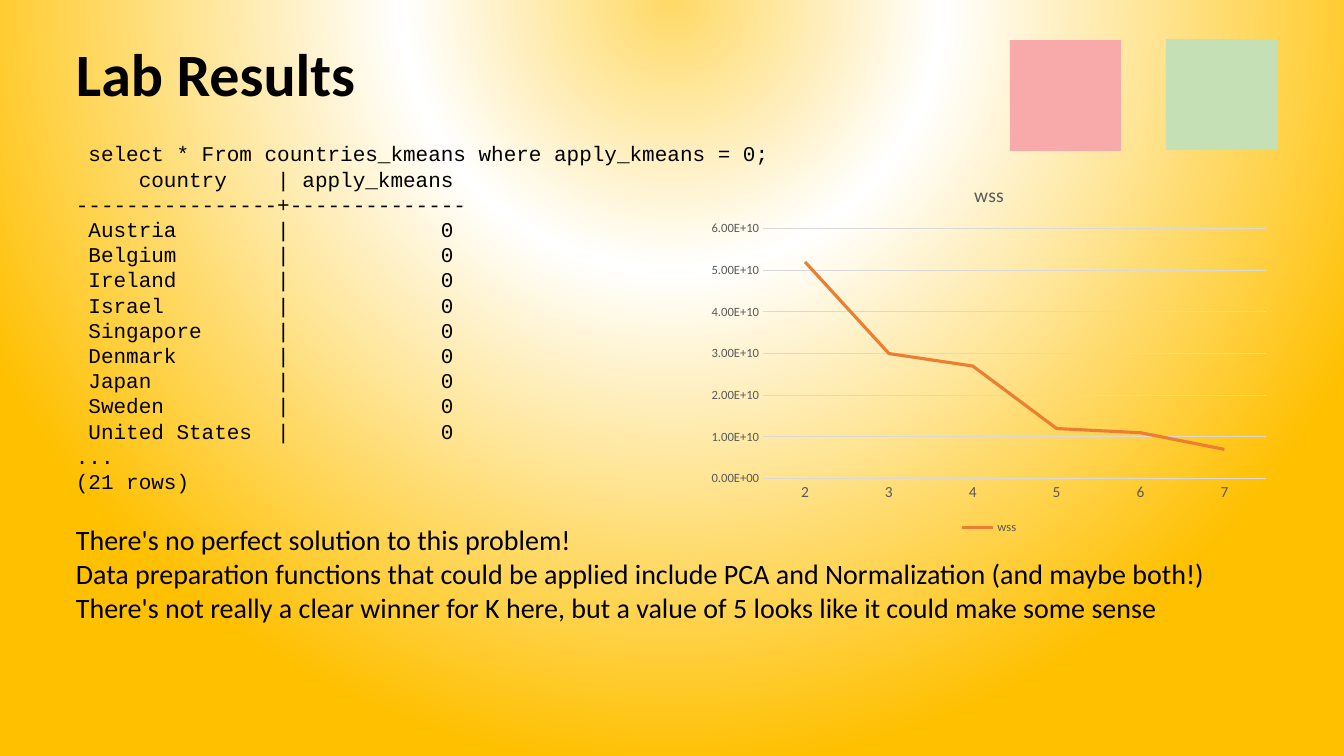
from pptx import Presentation
from pptx.chart.data import CategoryChartData
from pptx.dml.color import RGBColor
from pptx.enum.chart import XL_CHART_TYPE, XL_LEGEND_POSITION, XL_MARKER_STYLE, XL_TICK_MARK
from pptx.enum.shapes import MSO_SHAPE
from pptx.enum.text import MSO_ANCHOR
from pptx.oxml import parse_xml
from pptx.oxml.ns import nsdecls
from pptx.util import Pt

EMU_PER_PX = 914400 / 100.8
COUNTRIES = ["Austria", "Belgium", "Ireland", "Israel", "Singapore",
             "Denmark", "Japan", "Sweden", "United States"]
QUERY_OUTPUT = [
    " select * From countries_kmeans where apply_kmeans = 0;",
    f" {'country':^15}| apply_kmeans",
    "-" * 16 + "+" + "-" * 14,
    *[f" {country:<15}|{0:>13}" for country in COUNTRIES],
    "...",
    "(21 rows)",
]
CONCLUSIONS = [
    "There's no perfect solution to this problem!",
    "Data preparation functions that could be applied include PCA and Normalization (and maybe both!)",
    "There's not really a clear winner for K here, but a value of 5 looks like it could make some sense",
]
WSS_BY_K = {"2": 5.2e10, "3": 3e10, "4": 2.7e10, "5": 1.2e10, "6": 1.1e10, "7": 7e9}


def px(length):
    return round(length * EMU_PER_PX)


def color(value):
    return RGBColor.from_string(value)


class SlideBuilder:
    text_color = "000000"
    chart_text_color = "595959"
    grid_color = "D9D9D9"
    series_color = "ED7D31"
    font_name = "Calibri"
    code_font = "Courier New"

    def __init__(self, presentation):
        self.slide = presentation.slides.add_slide(presentation.slide_layouts[6])

    def background(self, stops):
        """Fill the slide with a circular gradient of (percent, colour) stops."""
        stop_xml = "".join(
            f'<a:gs pos="{percent * 1000}"><a:srgbClr val="{value}"/></a:gs>'
            for percent, value in stops)
        self.slide.element.cSld.insert(0, parse_xml(
            f'<p:bg {nsdecls("p", "a")}><p:bgPr><a:gradFill rotWithShape="1">'
            f'<a:gsLst>{stop_xml}</a:gsLst><a:path path="circle">'
            '<a:fillToRect l="50000" t="-80000" r="50000" b="180000"/></a:path>'
            '</a:gradFill><a:effectLst/></p:bgPr></p:bg>'))

    def style_font(self, font, size, value, name=None, bold=False):
        font.size = Pt(size)
        font.color.rgb = color(value)
        font.name = name or self.font_name
        font.bold = bold

    def text(self, lines, left, top, width, height, size, name=None, bold=False, spacing=1.0):
        box = self.slide.shapes.add_textbox(px(left), px(top), px(width), px(height))
        frame = box.text_frame
        frame.word_wrap = True
        frame.vertical_anchor = MSO_ANCHOR.TOP
        for index, line in enumerate(lines):
            paragraph = frame.add_paragraph() if index else frame.paragraphs[0]
            paragraph.line_spacing = spacing
            run = paragraph.add_run()
            run.text = line
            self.style_font(run.font, size, self.text_color, name, bold)

    def square(self, left, top, side, fill):
        shape = self.slide.shapes.add_shape(
            MSO_SHAPE.RECTANGLE, px(left), px(top), px(side), px(side))
        shape.shadow.inherit = False
        shape.fill.solid()
        shape.fill.fore_color.rgb = color(fill)
        shape.line.fill.background()

    def style_line(self, line, value, width):
        line.color.rgb = color(value)
        line.width = Pt(width)

    def line_chart(self, name, values, left, top, width, height):
        data = CategoryChartData(number_format="0.00E+00")
        data.categories = list(values)
        data.add_series(name, list(values.values()))
        chart = self.slide.shapes.add_chart(
            XL_CHART_TYPE.LINE, px(left), px(top), px(width), px(height), data).chart
        self.style_font(chart.font, 10, self.text_color)

        chart.has_title = True
        title = chart.chart_title
        title.include_in_layout = False
        title.text_frame.text = name
        self.style_font(title.text_frame.paragraphs[0].runs[0].font, 14, self.chart_text_color)

        chart.has_legend = True
        chart.legend.position = XL_LEGEND_POSITION.BOTTOM
        chart.legend.include_in_layout = False
        self.style_font(chart.legend.font, 9, self.chart_text_color)

        for axis, size in ((chart.category_axis, 11), (chart.value_axis, 9)):
            axis.major_tick_mark = axis.minor_tick_mark = XL_TICK_MARK.NONE
            self.style_font(axis.tick_labels.font, size, self.chart_text_color)
        self.style_line(chart.category_axis.format.line, self.grid_color, 0.75)
        value_axis = chart.value_axis
        value_axis.format.line.fill.background()
        value_axis.has_major_gridlines = True
        self.style_line(value_axis.major_gridlines.format.line, self.grid_color, 0.75)
        value_axis.tick_labels.number_format = "0.00E+00"
        value_axis.tick_labels.number_format_is_linked = False

        plot = chart.plots[0]
        plot.vary_by_categories = False
        series = plot.series[0]
        series.smooth = False
        series.marker.style = XL_MARKER_STYLE.NONE
        self.style_line(series.format.line, self.series_color, 2.25)


def main():
    presentation = Presentation()
    presentation.slide_width, presentation.slide_height = px(1344), px(756)
    builder = SlideBuilder(presentation)
    builder.background([(0, "FFD966"), (35, "FFFFFF"), (100, "FFC000")])
    builder.text(["Lab Results"], 66, 40, 1144, 95, size=42.9, bold=True, spacing=0.9)
    builder.square(1010, 40, 111, "F8AAAA")
    builder.square(1166, 39, 111, "C5E0B4")
    builder.text(QUERY_OUTPUT, 66, 136, 1213, 367, size=15, name=builder.code_font)
    builder.text(CONCLUSIONS, 66, 518, 1196, 146, size=20)
    builder.line_chart("wss", WSS_BY_K, 700, 165, 578, 374)
    presentation.save("out.pptx")


if __name__ == "__main__":
    main()
